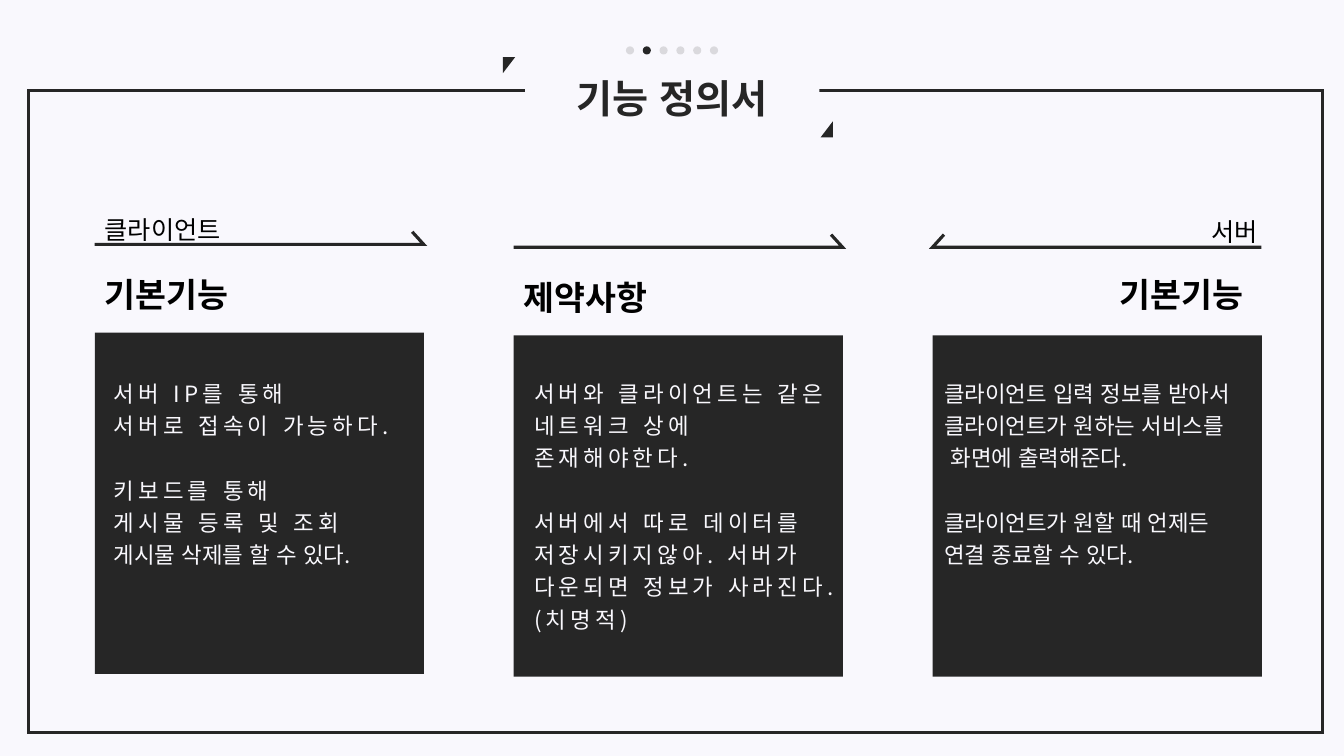
from lxml import etree
from pptx import Presentation
from pptx.dml.color import RGBColor
from pptx.enum.lang import MSO_LANGUAGE_ID
from pptx.enum.shapes import MSO_SHAPE
from pptx.enum.text import MSO_ANCHOR, PP_ALIGN
from pptx.oxml.ns import qn
from pptx.util import Pt

RECT, OVAL, TRIANGLE = MSO_SHAPE.RECTANGLE, MSO_SHAPE.OVAL, MSO_SHAPE.RIGHT_TRIANGLE
CENTER, MIDDLE, TOP = PP_ALIGN.CENTER, MSO_ANCHOR.MIDDLE, MSO_ANCHOR.TOP
KOREAN = MSO_LANGUAGE_ID.KOREAN

FONT = "Noto Sans CJK KR"
DARK, PALE, DOT, BLACK = "262626", "F9F8FD", "DAD9DD", "000000"
LINE_PITCH = 23


def rgb(color):
    return RGBColor.from_string(color)


class SlideBuilder:
    def __init__(self, slide):
        self.s = slide
        self.s.background.fill.solid()
        self.s.background.fill.fore_color.rgb = rgb(PALE)

    def paint(self, sp, fill=None, line=None, width=1):
        sp.shadow.inherit = False
        if fill:
            sp.fill.solid()
            sp.fill.fore_color.rgb = rgb(fill)
        else:
            sp.fill.background()
        if line:
            sp.line.color.rgb = rgb(line)
            sp.line.width = Pt(width)
            ln = sp.element.spPr.find(qn("a:ln"))
            etree.SubElement(ln, qn("a:miter")).set("lim", "800000")
        else:
            sp.line.fill.background()

    def shape(self, kind, x, y, w, h, rotation=0, **style):
        sp = self.s.shapes.add_shape(kind, Pt(x), Pt(y), Pt(w), Pt(h))
        sp.rotation = rotation
        self.paint(sp, **style)

    def half_arrow(self, x, y, w, to_right):
        """Draw a line with a one-sided barb; y is the height of the line."""
        tail, tip, barb = (x, x + w, x + w - 8.2) if to_right else (x + w, x, x + 8.2)
        fb = self.s.shapes.build_freeform(Pt(tail), Pt(y))
        fb.add_line_segments([(Pt(tip), Pt(y)), (Pt(barb), Pt(y - 9))], close=False)
        self.paint(fb.convert_to_shape(), line=DARK, width=2.25)

    def format(self, p, size, color, bold=False, tracking=0):
        p.font.size = Pt(size)
        p.font.bold = bold
        p.font.color.rgb = rgb(color)
        p.font.name = FONT
        p.font.language_id = KOREAN
        props = p._p.pPr.find(qn("a:defRPr"))
        props.set("spc", str(tracking * 100))
        etree.SubElement(props, qn("a:ea")).set("typeface", FONT)

    def title(self, text, x, y, w, h):
        sp = self.s.shapes.title
        sp.left, sp.top, sp.width, sp.height = Pt(x), Pt(y), Pt(w), Pt(h)
        sp.fill.solid()
        sp.fill.fore_color.rgb = rgb(PALE)
        tf = sp.text_frame
        tf.text = text
        tf.vertical_anchor = MIDDLE
        p = tf.paragraphs[0]
        p.alignment = CENTER
        self.format(p, 28, DARK, bold=True)
        # Bring the title in front of the frame so that it interrupts its top edge
        sp.element.getparent().append(sp.element)

    def text_box(self, x, y, w, h):
        tf = self.s.shapes.add_textbox(Pt(x), Pt(y), Pt(w), Pt(h)).text_frame
        tf.word_wrap = True
        tf.vertical_anchor = TOP
        return tf

    def label(self, text, x, y, w, h, size, bold=False):
        tf = self.text_box(x, y, w, h)
        tf.text = text
        self.format(tf.paragraphs[0], size, BLACK, bold)

    def body(self, groups, x, y, w, h):
        """Write groups of (text, tracking) lines, one line height apart."""
        tf = self.text_box(x, y, w, h)
        p = tf.paragraphs[0]
        for g, group in enumerate(groups):
            for i, (text, tracking) in enumerate(group):
                if g or i:
                    p = tf.add_paragraph()
                p.text = text
                p.line_spacing = 1.2
                if g and not i:
                    p.space_before = Pt(LINE_PITCH)
                self.format(p, 16, PALE, tracking=tracking)


# Each column: line height, to_right, (label, x, y, w), (heading, x, y), (body x, w, h), groups
COLUMNS = [
    (174.6, True, ("클라이언트", 67.7, 149.8, 109.4), ("기본기능", 67.7, 192.2),
     (74.2, 222.5, 146.9),
     [[("서버 IP를 통해", 3), ("서버로 접속이 가능하다.", 3)],
      [("키보드를 통해", 3), ("게시물 등록 및 조회", 3), ("게시물 삭제를 할 수 있다.", 0)]]),
    (176.6, True, None, ("제약사항", 366.9, 194.4),
     (374.4, 227.5, 191.5),
     [[("서버와 클라이언트는 같은 네트워크 상에 존재해야한다.", 3)],
      [("서버에서 따로 데이터를 저장시키지않아. 서버가 다운되면 정보가 사라진다.(치명적)", 3)]]),
    (176.6, False, ("서버", 858.2, 151.2, 51.1), ("기본기능", 792.7, 192.2),
     (667.4, 229.7, 146.9),
     [[("클라이언트 입력 정보를 받아서", 0), ("클라이언트가 원하는 서비스를", 0),
       (" 화면에 출력해준다.", 0)],
      [("클라이언트가 원할 때 언제든", 0), ("연결 종료할 수 있다.", 0)]]),
]


def main():
    prs = Presentation()
    prs.slide_width, prs.slide_height = Pt(960), Pt(540)
    b = SlideBuilder(prs.slides.add_slide(prs.slide_layouts[5]))

    b.shape(RECT, 20.2, 64.8, 924.5, 458.6, line=DARK, width=2.25)
    b.title("기능 정의서", 375.1, 49.7, 210.2, 41)
    for x, y, rotation in [(586.1, 89.3, 270), (358.6, 42.5, 90)]:
        b.shape(TRIANGLE, x, y, 9.4, 7.2, rotation, fill=DARK, line=DARK)

    for i, (line_y, to_right, label, heading, (x, w, h), groups) in enumerate(COLUMNS):
        left = 67.7 + 299.2 * i
        b.shape(RECT, left, line_y + 63, 235.2, 243.8, fill=DARK)
        b.half_arrow(left, line_y, 235, to_right)
        b.label(*heading, 108, 36, 24, bold=True)
        if label:
            b.label(*label, 28.8, 18)
        b.body(groups, x, 264.2, w, h)

    for i in range(6):
        b.shape(OVAL, 447.1 + 12 * i, 33.1, 5.8, 5.8, fill=DARK if i == 1 else DOT)

    prs.save("out.pptx")


if __name__ == "__main__":
    main()
